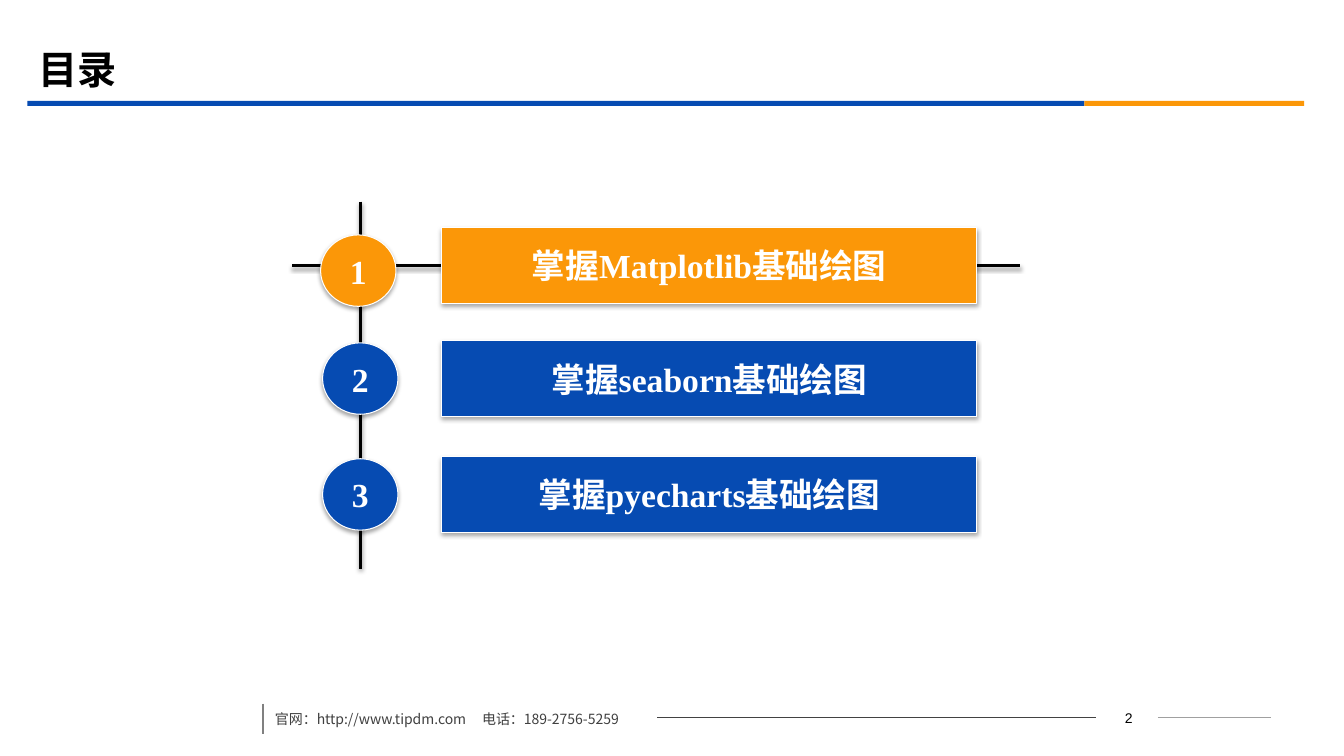
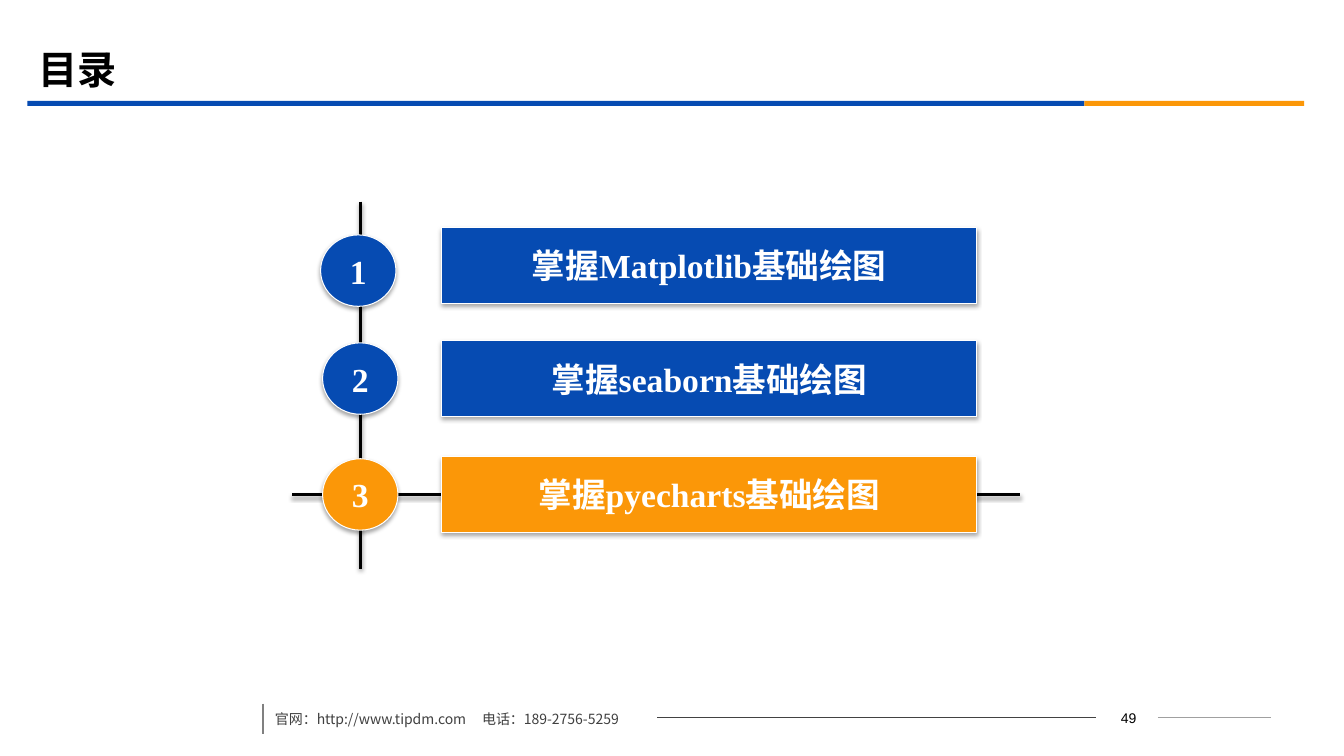
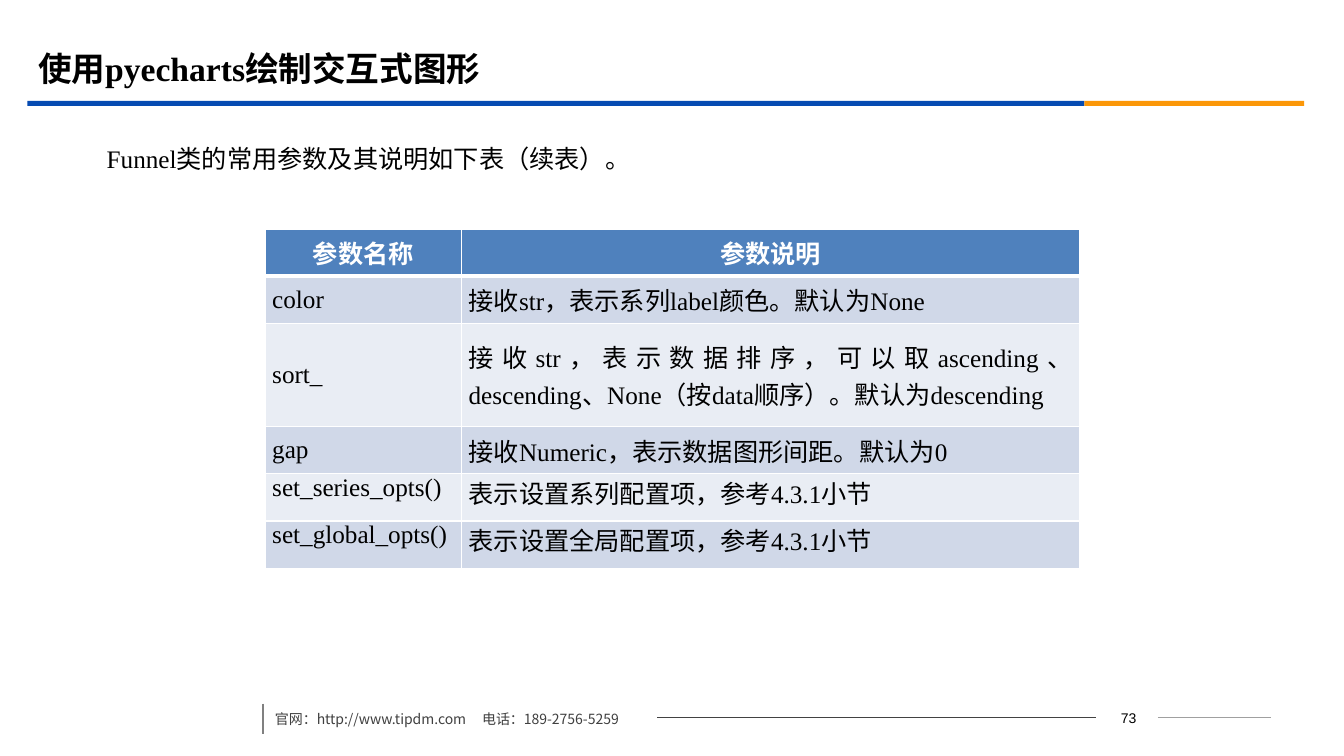
from dataclasses import dataclass

from lxml.etree import SubElement
from pptx import Presentation
from pptx.dml.color import RGBColor
from pptx.enum.shapes import MSO_CONNECTOR, MSO_SHAPE
from pptx.enum.text import MSO_ANCHOR, PP_ALIGN
from pptx.oxml.ns import qn
from pptx.util import Cm, Pt


@dataclass(frozen=True)
class Theme:
    blue: str = "064BB2"
    orange: str = "FB9708"
    black: str = "000000"
    white: str = "FFFFFF"
    footer_text: str = "404040"
    footer_rule: str = "424242"
    footer_tail: str = "A0A0A0"
    footer_bar: str = "808080"
    table_header: str = "4F81BD"
    table_bands: tuple = ("D0D8E8", "E9EDF4")
    serif: str = "Times New Roman"
    sans: str = "Arial"
    chinese: str = "Noto Sans CJK SC"
    contents_size: int = 28
    heading_size: int = 24
    body_size: int = 18
    footer_size: int = 10


THEME = Theme()


@dataclass(frozen=True)
class Topic:
    label: str
    bar_top: float
    badge_left: float
    badge_top: float


TOPICS = (
    Topic("掌握Matplotlib基础绘图", 5.74, 8.08, 5.92),
    Topic("掌握seaborn基础绘图", 8.59, 8.13, 8.64),
    Topic("掌握pyecharts基础绘图", 11.51, 8.13, 11.56),
)
BAR_LEFT, BAR_WIDTH, BAR_HEIGHT = 11.13, 13.49, 1.9
BADGE_WIDTH, BADGE_HEIGHT = 1.9, 1.8

PARAMETERS = (
    ("参数名称", "参数说明"),
    ("color", "接收str，表示系列label颜色。默认为None"),
    ("sort_", "接收str，表示数据排序，可以取ascending、descending、None（按data顺序）。默认为descending"),
    ("gap", "接收Numeric，表示数据图形间距。默认为0"),
    ("set_series_opts()", "表示设置系列配置项，参考4.3.1小节"),
    ("set_global_opts()", "表示设置全局配置项，参考4.3.1小节"),
)
ROW_HEIGHT, THREE_LINE_HEIGHT = 1.19, 2.6
ROW_HEIGHTS = [THREE_LINE_HEIGHT if name == "sort_" else ROW_HEIGHT for name, _ in PARAMETERS]
TOP_ANCHORED_ROWS = (4, 5)


def rgb(value):
    return RGBColor.from_string(value)


def style_text(frame, size, color=THEME.black, name=THEME.serif, bold=False, align=PP_ALIGN.LEFT):
    for para in frame.paragraphs:
        para.alignment = align
        for span in para.runs:
            span.font.size = Pt(size)
            span.font.bold = bold
            span.font.name = name
            span.font.color.rgb = rgb(color)
            SubElement(span.font._element, qn("a:ea"), typeface=THEME.chinese)


def set_shadow(shape, opacity=0, distance=0):
    """Give the shape a soft shadow straight below it, or none at zero opacity."""
    properties = shape.element.spPr
    for effects in properties.findall(qn("a:effectLst")):
        properties.remove(effects)
    effects = SubElement(properties, qn("a:effectLst"))
    if opacity:
        shadow = SubElement(effects, qn("a:outerShdw"), blurRad=str(Pt(3.1)),
                            dist=str(Pt(distance)), dir="5400000", rotWithShape="0")
        color = SubElement(shadow, qn("a:srgbClr"), val=THEME.black)
        SubElement(color, qn("a:alpha"), val=str(opacity * 1000))


def add_block(page, kind, left, top, width, height, fill):
    block = page.shapes.add_shape(kind, Cm(left), Cm(top), Cm(width), Cm(height))
    block.shadow.inherit = False
    block.fill.solid()
    block.fill.fore_color.rgb = rgb(fill)
    block.line.fill.background()
    return block


def add_label(page, kind, left, top, width, height, fill, text):
    """Add a raised shape with a white edge and centred white text."""
    label = add_block(page, kind, left, top, width, height, fill)
    label.line.color.rgb = rgb(THEME.white)
    label.line.width = Pt(0.75)
    set_shadow(label, 35, 1.8)
    frame = label.text_frame
    frame.text = text
    frame.word_wrap = False
    frame.vertical_anchor = MSO_ANCHOR.MIDDLE
    style_text(frame, THEME.heading_size, THEME.white, bold=True, align=PP_ALIGN.CENTER)


def add_rule(page, start, end, color, width, raised=False):
    x1, y1, x2, y2 = (Cm(value) for value in start + end)
    rule = page.shapes.add_connector(MSO_CONNECTOR.STRAIGHT, x1, y1, x2, y2)
    rule.line.color.rgb = rgb(color)
    rule.line.width = Pt(width)
    set_shadow(rule, 38 if raised else 0, 1.6)


def add_text(page, left, top, width, height, text, anchor=MSO_ANCHOR.TOP):
    box = page.shapes.add_textbox(Cm(left), Cm(top), Cm(width), Cm(height))
    frame = box.text_frame
    frame.word_wrap = True
    frame.vertical_anchor = anchor
    frame.text = text
    return frame


def add_footer(page, number):
    add_rule(page, (29.18, 18.08), (32.03, 18.08), THEME.footer_tail, 0.75)
    add_rule(page, (16.56, 18.08), (27.61, 18.08), THEME.footer_rule, 0.75)
    add_rule(page, (6.63, 17.73), (6.63, 18.49), THEME.footer_bar, 1.25)
    contact = add_text(page, 6.68, 17.58, 13.61, 0.89,
                       "官网：http://www.tipdm.com\t电话：189-2756-5259")
    contact.margin_top = Cm(0.33)
    contact.margin_bottom = 0
    tabs = SubElement(contact.paragraphs[0]._p.get_or_add_pPr(), qn("a:tabLst"))
    SubElement(tabs, qn("a:tab"), pos=str(Cm(5.22)), algn="l")
    style_text(contact, THEME.footer_size, THEME.footer_text, THEME.chinese)
    counter = add_text(page, 27.66, 17.77, 1.57, 0.64, str(number), MSO_ANCHOR.MIDDLE)
    style_text(counter, THEME.footer_size, name=THEME.sans, align=PP_ALIGN.CENTER)


def add_page(deck, title, title_size, number):
    page = deck.slides.add_slide(deck.slide_layouts[6])
    add_block(page, MSO_SHAPE.RECTANGLE, 0.69, 2.54, 26.64, 0.13, THEME.blue)
    add_block(page, MSO_SHAPE.RECTANGLE, 27.33, 2.54, 5.54, 0.13, THEME.orange)
    add_footer(page, number)
    heading = add_text(page, 0.71, 0.99, 30.48, 1.47, title, MSO_ANCHOR.MIDDLE)
    style_text(heading, title_size, bold=True)
    return page


def add_contents_page(deck, number, current):
    """Add the list of topics with the topic at index current in orange."""
    page = add_page(deck, "目录", THEME.contents_size, number)
    add_rule(page, (9.08, 5.08), (9.08, 14.33), THEME.black, 2, raised=True)
    middle = TOPICS[current].bar_top + BAR_HEIGHT / 2
    add_rule(page, (7.37, middle), (25.7, middle), THEME.black, 2, raised=True)
    for index, topic in enumerate(TOPICS):
        fill = THEME.orange if index == current else THEME.blue
        add_label(page, MSO_SHAPE.OVAL, topic.badge_left, topic.badge_top,
                  BADGE_WIDTH, BADGE_HEIGHT, fill, str(index + 1))
        add_label(page, MSO_SHAPE.ACTION_BUTTON_CUSTOM, BAR_LEFT, topic.bar_top,
                  BAR_WIDTH, BAR_HEIGHT, fill, topic.label)


def set_borders(cell, widths):
    """Draw white borders; widths maps the sides L, R, T and B to points."""
    properties = cell._tc.get_or_add_tcPr()
    for side in "LRTB":
        border = SubElement(properties, qn(f"a:ln{side}"), w=str(Pt(widths[side])))
        fill = SubElement(border, qn("a:solidFill"))
        SubElement(fill, qn("a:srgbClr"), val=THEME.white)


def fill_cell(cell, text, row):
    header = row == 0
    widths = dict.fromkeys("LRTB", 1)
    if header:
        widths["B"] = 3
    elif row == 1:
        widths["T"] = 3
    set_borders(cell, widths)
    cell.fill.solid()
    cell.fill.fore_color.rgb = rgb(THEME.table_header if header else THEME.table_bands[(row - 1) % 2])
    cell.margin_left = cell.margin_right = Cm(0.18)
    cell.margin_top = cell.margin_bottom = 0
    cell.vertical_anchor = MSO_ANCHOR.TOP if row in TOP_ANCHORED_ROWS else MSO_ANCHOR.MIDDLE
    cell.text_frame.text = text
    style_text(cell.text_frame, THEME.body_size, THEME.white if header else THEME.black,
               bold=header, align=PP_ALIGN.CENTER if header else PP_ALIGN.JUSTIFY)


def add_parameter_table(page, left, top, widths):
    frame = page.shapes.add_table(len(PARAMETERS), len(widths), Cm(left), Cm(top),
                                  Cm(sum(widths)), Cm(sum(ROW_HEIGHTS)))
    table = frame.table
    table.horz_banding = False
    for column, width in zip(table.columns, widths):
        column.width = Cm(width)
    for row, height in zip(table.rows, ROW_HEIGHTS):
        row.height = Cm(height)
    for row, texts in enumerate(PARAMETERS):
        for column, text in enumerate(texts):
            fill_cell(table.cell(row, column), text, row)


def add_parameters_page(deck, number):
    page = add_page(deck, "使用pyecharts绘制交互式图形", THEME.heading_size, number)
    intro = add_text(page, 1.17, 3.07, 30.86, 14.05, "Funnel类的常用参数及其说明如下表（续表）。")
    intro.margin_top = Cm(0.53)
    intro.paragraphs[0]._p.get_or_add_pPr().set("indent", str(Cm(1.27)))
    style_text(intro, THEME.body_size)
    add_parameter_table(page, 6.68, 5.77, (4.95, 15.57))


def main():
    deck = Presentation()
    deck.slide_width, deck.slide_height = Cm(33.87), Cm(19.05)
    add_contents_page(deck, 2, current=0)
    add_contents_page(deck, 49, current=2)
    add_parameters_page(deck, 73)
    deck.save("out.pptx")


if __name__ == "__main__":
    main()
